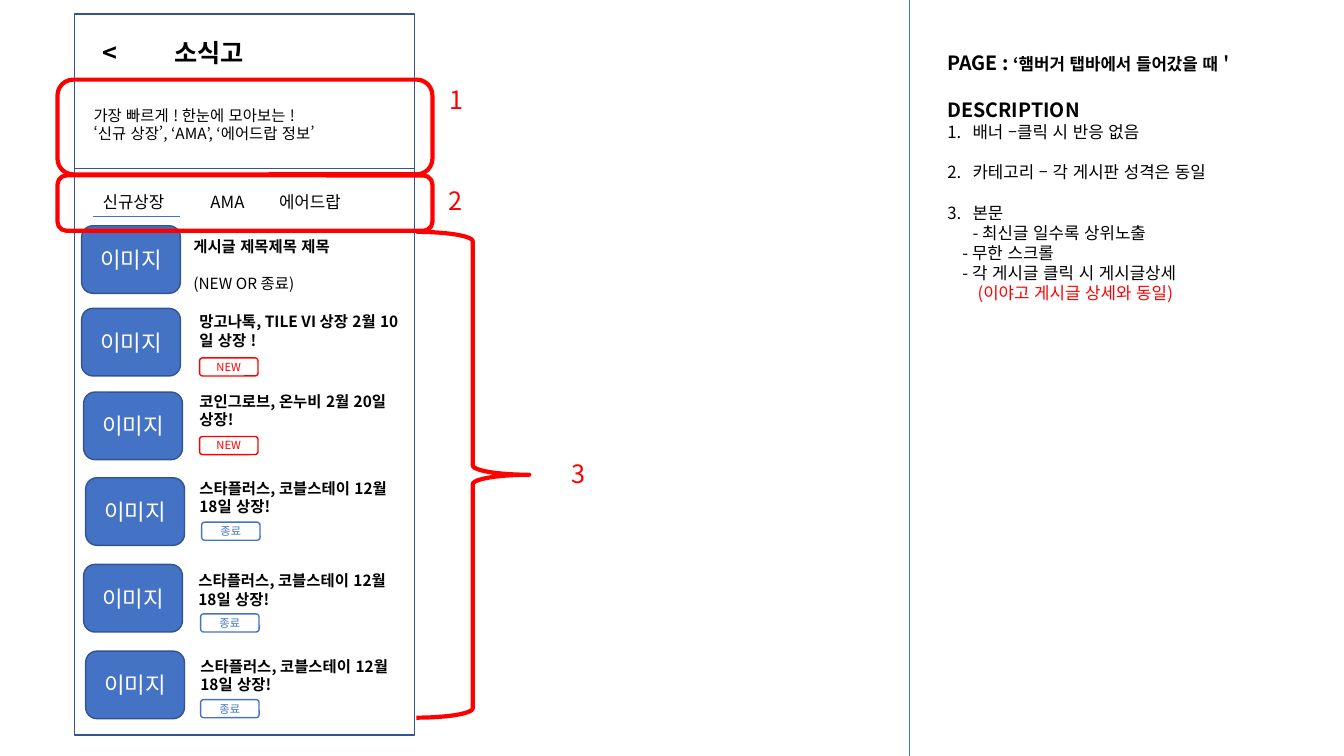
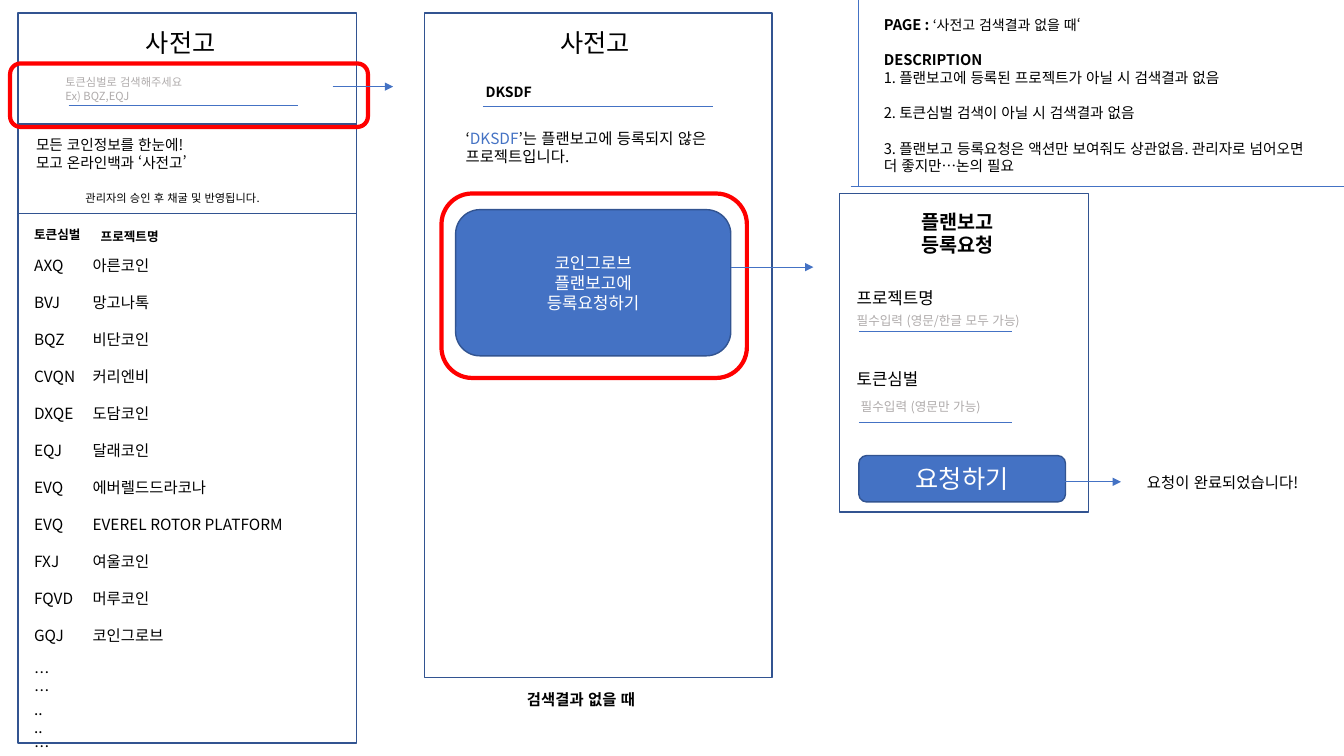
from dataclasses import dataclass

from lxml import etree
from pptx import Presentation
from pptx.dml.color import RGBColor
from pptx.enum.lang import MSO_LANGUAGE_ID
from pptx.enum.shapes import MSO_CONNECTOR, MSO_SHAPE
from pptx.enum.text import MSO_ANCHOR, PP_ALIGN
from pptx.oxml.ns import qn
from pptx.util import Inches, Pt

KOREAN = MSO_LANGUAGE_ID.KOREAN
STRAIGHT = MSO_CONNECTOR.STRAIGHT
RECTANGLE = MSO_SHAPE.RECTANGLE
ROUNDED = MSO_SHAPE.ROUNDED_RECTANGLE
BRACE = MSO_SHAPE.RIGHT_BRACE
MIDDLE = MSO_ANCHOR.MIDDLE
CENTER = PP_ALIGN.CENTER

FONT = "Noto Sans CJK KR"
BLACK = RGBColor(0x00, 0x00, 0x00)
WHITE = RGBColor(0xFF, 0xFF, 0xFF)
RED = RGBColor(0xFF, 0x00, 0x00)
BLUE = RGBColor(0x44, 0x72, 0xC4)
NAVY = RGBColor(0x32, 0x54, 0x91)
GRAY = RGBColor(0xAF, 0xAB, 0xAB)

CELL = 0.1
COLUMNS = 133.33
ROWS = 75
LINE_HEIGHT = 1.2


@dataclass
class Span:
    text: str
    size: float = 11
    bold: bool = False
    color: RGBColor = BLACK


@dataclass
class Para:
    spans: list
    blank: float = 0
    left: float = 0
    number: int = 0
    tabs: tuple = ()


def grid(*cells):
    return [Inches(cell * CELL) for cell in cells]


def line_of(text, size=11, bold=False, color=BLACK, **layout):
    return Para([Span(text, size, bold, color)], **layout)


def add_span(para, span):
    run = para.add_run()
    run.text = span.text
    font = run.font
    font.name = FONT
    font.size = Pt(span.size)
    font.bold = span.bold
    font.color.rgb = span.color
    font.language_id = KOREAN
    etree.SubElement(run._r.get_or_add_rPr(), qn("a:ea"), typeface=FONT)


def format_para(para, layout):
    para.space_before = Pt(layout.blank * LINE_HEIGHT)
    properties = para._p.get_or_add_pPr()
    if layout.left:
        properties.set("marL", str(grid(layout.left)[0]))
    if layout.number:
        properties.set("indent", str(-grid(layout.left)[0]))
        etree.SubElement(properties, qn("a:buAutoNum"), type="arabicPeriod",
                         startAt=str(layout.number))
    if layout.tabs:
        stops = etree.SubElement(properties, qn("a:tabLst"))
        for stop in grid(*layout.tabs):
            etree.SubElement(stops, qn("a:tab"), pos=str(stop), algn="l")


def write(frame, paras, align=None):
    frame.word_wrap = True
    for index, layout in enumerate(paras):
        para = frame.paragraphs[0] if index == 0 else frame.add_paragraph()
        para.alignment = align
        format_para(para, layout)
        for span in layout.spans:
            add_span(para, span)


def add_text(page, place, *paras):
    box = page.shapes.add_textbox(*grid(*place))
    write(box.text_frame, paras)


def add_outline(page, kind, place, color=NAVY, width=1):
    shape = page.shapes.add_shape(kind, *grid(*place))
    shape.shadow.inherit = False
    shape.fill.background()
    shape.line.color.rgb = color
    shape.line.width = Pt(width)
    return shape


def add_callout(page, kind, place):
    add_outline(page, kind, place, RED, 3)


def add_label(shape, paras):
    shape.text_frame.vertical_anchor = MIDDLE
    write(shape.text_frame, paras, CENTER)


def add_button(page, place, size, *texts):
    button = add_outline(page, ROUNDED, place)
    button.fill.solid()
    button.fill.fore_color.rgb = BLUE
    add_label(button, [line_of(text, size, color=WHITE) for text in texts])


def add_badge(page, left, top, text, color):
    badge = add_outline(page, ROUNDED, (left, top, 5.8, 1.8), color)
    add_label(badge, [line_of(text, 8, color=color)])


def add_rule(page, start, end, arrow=False):
    rule = page.shapes.add_connector(STRAIGHT, *grid(*start, *end))
    rule.line.color.rgb = BLUE
    rule.line.width = Pt(0.5)
    if arrow:
        etree.SubElement(rule.line._get_or_add_ln(), qn("a:tailEnd"), type="triangle")
    etree.SubElement(rule._element.spPr, qn("a:effectLst"))


def add_posts(page):
    new, closed = ("NEW", RED), ("종료", BLUE)
    repeated = "스타플러스, 코블스테이 12월 18일 상장!"
    posts = [
        (8.1, 30.6, 18.8, 30.5, 19.8, 35.5, "망고나톡, TILE VI 상장 2월 10일 상장 !", new),
        (8.3, 38.9, 18.8, 38.4, 19.8, 43.3, "코인그로브, 온누비 2월 20일 상장!", new),
        (8.5, 47.4, 18.8, 47, 20, 51.8, repeated, closed),
        (8.3, 56, 18.7, 56.2, 19.9, 60.9, repeated, closed),
        (8.5, 64.6, 18.9, 64.7, 19.9, 69.4, repeated, closed),
    ]
    add_button(page, (8.1, 22.4, 9.8, 6.7), 16, "이미지")
    add_text(page, (18.2, 23, 22.4, 6.6),
             line_of("게시글 제목제목 제목", bold=True),
             line_of("(NEW OR 종료)", blank=11))
    for left, top, title_left, title_top, badge_left, badge_top, title, state in posts:
        add_button(page, (left, top, 9.8, 6.7), 16, "이미지")
        add_text(page, (title_left, title_top, 22.4, 4.7), line_of(title, bold=True))
        add_badge(page, badge_left, badge_top, *state)


def build_notice_page(page):
    add_text(
        page, (93, 4.6, 40, 30.6),
        Para([Span("PAGE : ", 14, True), Span("‘햄버거 탭바에서 들어갔을 때＇", 12, True)]),
        line_of("DESCRIPTION", 14, True, blank=14),
        line_of("배너 –클릭 시 반응 없음", 12, left=2.5, number=1),
        line_of("카테고리 – 각 게시판 성격은 동일", 12, blank=12, left=2.5, number=2),
        line_of("본문", 12, blank=12, left=2.5, number=3),
        line_of("- 최신글 일수록 상위노출", 12, left=2.5),
        line_of("- 무한 스크롤", 12, left=1.5),
        line_of("- 각 게시글 클릭 시 게시글상세", 12, left=1.5),
        line_of("(이야고 게시글 상세와 동일)", 12, color=RED, left=3))
    add_outline(page, RECTANGLE, (7.4, 1.4, 33.7, 71.5))
    add_text(page, (9.2, 3.2, 25.2, 4), line_of("<\t소식고", 18, True, tabs=(7.1,)))
    add_outline(page, RECTANGLE, (7.4, 7.9, 33.7, 8.8))
    add_text(page, (8.3, 10, 32, 4.7),
             line_of("가장 빠르게 ! 한눈에 모아보는 !"),
             line_of("‘신규 상장’, ‘AMA’, ‘에어드랍 정보’"))
    add_text(page, (9.2, 18.5, 31, 3),
             line_of("신규상장\tAMA\t에어드랍", 12, tabs=(10.7, 17.5)))
    add_rule(page, (9.2, 21.5), (17.9, 21.5))
    add_posts(page)
    add_callout(page, ROUNDED, (5.7, 7.9, 37.2, 9.4))
    add_callout(page, ROUNDED, (5.7, 17.4, 37.2, 5.5))
    add_callout(page, BRACE, (41.3, 23, 11.2, 48.2))
    for number, left, top in (("1", 43.6, 7.9), ("2", 43.5, 17.9), ("3", 55.7, 45)):
        add_text(page, (left, top, 4.7, 4), line_of(number, 18, color=RED))
    add_rule(page, (90.2, 0), (90.2, ROWS))


def add_token_list(page):
    tokens = [
        ("AXQ", "아른코인"), ("BVJ", "망고나톡"), ("BQZ", "비단코인"),
        ("CVQN", "커리엔비"), ("DXQE", "도담코인"), ("EQJ", "달래코인"),
        ("EVQ", "에버렐드드라코나"), ("EVQ", "EVEREL ROTOR PLATFORM"),
        ("FXJ", "여울코인"), ("FQVD", "머루코인"), ("GQJ", "코인그로브"),
    ]
    rows = [line_of(f"{symbol}\t{name}", blank=11 if index else 0, tabs=(5.8,))
            for index, (symbol, name) in enumerate(tokens)]
    rest = [line_of(dots, blank=0 if index else 11)
            for index, dots in enumerate(("…", "…", "..", "..", "…"))]
    add_text(page, (2.4, 24.9, 31.6, 50), *rows, *rest)


def build_search_screen(page):
    add_outline(page, RECTANGLE, (1.8, 1.3, 33.6, 72.4))
    add_text(page, (13.5, 2.2, 14.3, 4), line_of("사전고", 18))
    add_rule(page, (6.8, 10.5), (29.6, 10.5))
    add_text(page, (5.5, 7, 17.7, 3.7),
             line_of("토큰심벌로 검색해주세요", 8, color=GRAY),
             line_of("Ex) BQZ,EQJ", 8, color=GRAY))
    add_outline(page, RECTANGLE, (1.8, 12.3, 33.6, 8.9))
    add_text(page, (2.6, 13, 27, 6.3),
             line_of("모든 코인정보를 한눈에!", 10.5),
             line_of("모고 온라인백과 ‘사전고’", 10.5))
    add_text(page, (7.5, 18.5, 23.6, 2.4),
             line_of("관리자의 승인 후 채굴 및 반영됩니다.", 8))
    add_text(page, (2.4, 22, 8.2, 2.5), line_of("토큰심벌", 9, True))
    add_text(page, (9, 22.2, 10.8, 2.5), line_of("프로젝트명", 9, True))
    add_token_list(page)
    add_callout(page, ROUNDED, (1, 6.3, 35.5, 6.3))
    add_rule(page, (33, 8.6), (39, 8.6), True)


def build_no_result_screen(page):
    add_outline(page, RECTANGLE, (42.1, 1.3, 34.5, 65.9))
    add_text(page, (54.6, 2.2, 14.3, 4), line_of("사전고", 18))
    add_rule(page, (47.9, 10.6), (70.7, 10.6))
    add_text(page, (47.2, 7.8, 17.7, 2.7), line_of("DKSDF", 10, True))
    add_text(page, (51.3, 68, 25.3, 2.9), line_of("검색결과 없을 때", bold=True))
    add_text(page, (45.2, 12.3, 28.1, 4.7),
             Para([Span("‘"), Span("DKSDF", color=BLUE),
                   Span("’는 플랜보고에 등록되지 않은 프로젝트입니다.")]))
    add_button(page, (45.2, 20.8, 27.3, 14.5), 12, "코인그로브", "플랜보고에", "등록요청하기")
    add_callout(page, ROUNDED, (43.8, 19.2, 30.3, 18.3))
    add_rule(page, (72.5, 26.5), (80.7, 26.5), True)


def build_request_form(page):
    add_outline(page, RECTANGLE, (83.3, 19.2, 24.7, 31.6))
    add_text(page, (84, 28.1, 21.7, 11.1),
             line_of("프로젝트명", 12), line_of("토큰심벌", 12, blank=36))
    add_text(page, (90.4, 20.3, 10.5, 5.7), line_of("플랜보고 등록요청", 14, True))
    fields = ((84, 30.5, 32.9, "필수입력 (영문/한글 모두 가능)"),
              (84.4, 39.1, 41.9, "필수입력 (영문만 가능)"))
    for left, top, rule_top, hint in fields:
        add_rule(page, (85.2, rule_top), (100.4, rule_top))
        add_text(page, (left, top, 27.2, 2.5), line_of(hint, 9, color=GRAY))
    add_button(page, (85.2, 45.2, 20.5, 4.6), 18, "요청하기")
    add_rule(page, (104.1, 47.8), (111.2, 47.8), True)
    add_text(page, (112.8, 46.4, 18, 2.9), line_of("요청이 완료되었습니다!"))


def build_search_description(page):
    add_text(
        page, (86.7, 1.1, 44.8, 17),
        Para([Span("PAGE : ", 10.5, True), Span("‘사전고 검색결과 없을 때‘", 10)]),
        line_of("DESCRIPTION", 10.5, True, blank=10.5),
        line_of("1. 플랜보고에 등록된 프로젝트가 아닐 시 검색결과 없음", 10.5),
        line_of("2. 토큰심벌 검색이 아닐 시 검색결과 없음", 10.5, blank=10.5),
        line_of("3. 플랜보고 등록요청은 액션만 보여줘도 상관없음. 관리자로 넘어오면 "
                "더 좋지만…논의 필요", 10.5, blank=10.5))
    add_rule(page, (85.2, 0), (85.2, 18.5))
    add_rule(page, (84.4, 18.5), (COLUMNS, 18.5))


def main():
    deck = Presentation()
    deck.slide_width, deck.slide_height = grid(COLUMNS, ROWS)
    blank = deck.slide_layouts[6]
    build_notice_page(deck.slides.add_slide(blank))
    search_page = deck.slides.add_slide(blank)
    for build in (build_search_screen, build_no_result_screen,
                  build_request_form, build_search_description):
        build(search_page)
    deck.save("out.pptx")


if __name__ == "__main__":
    main()
